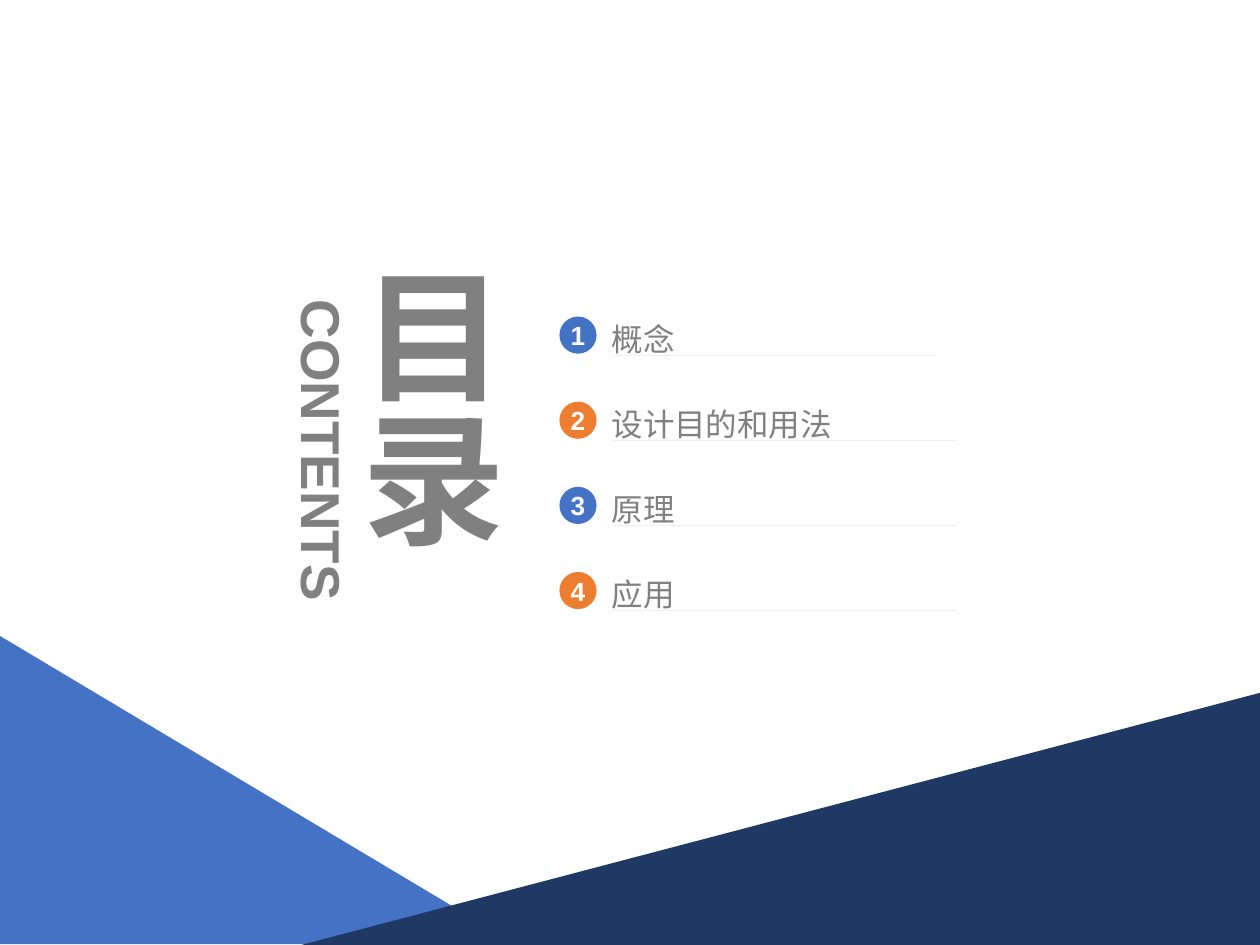
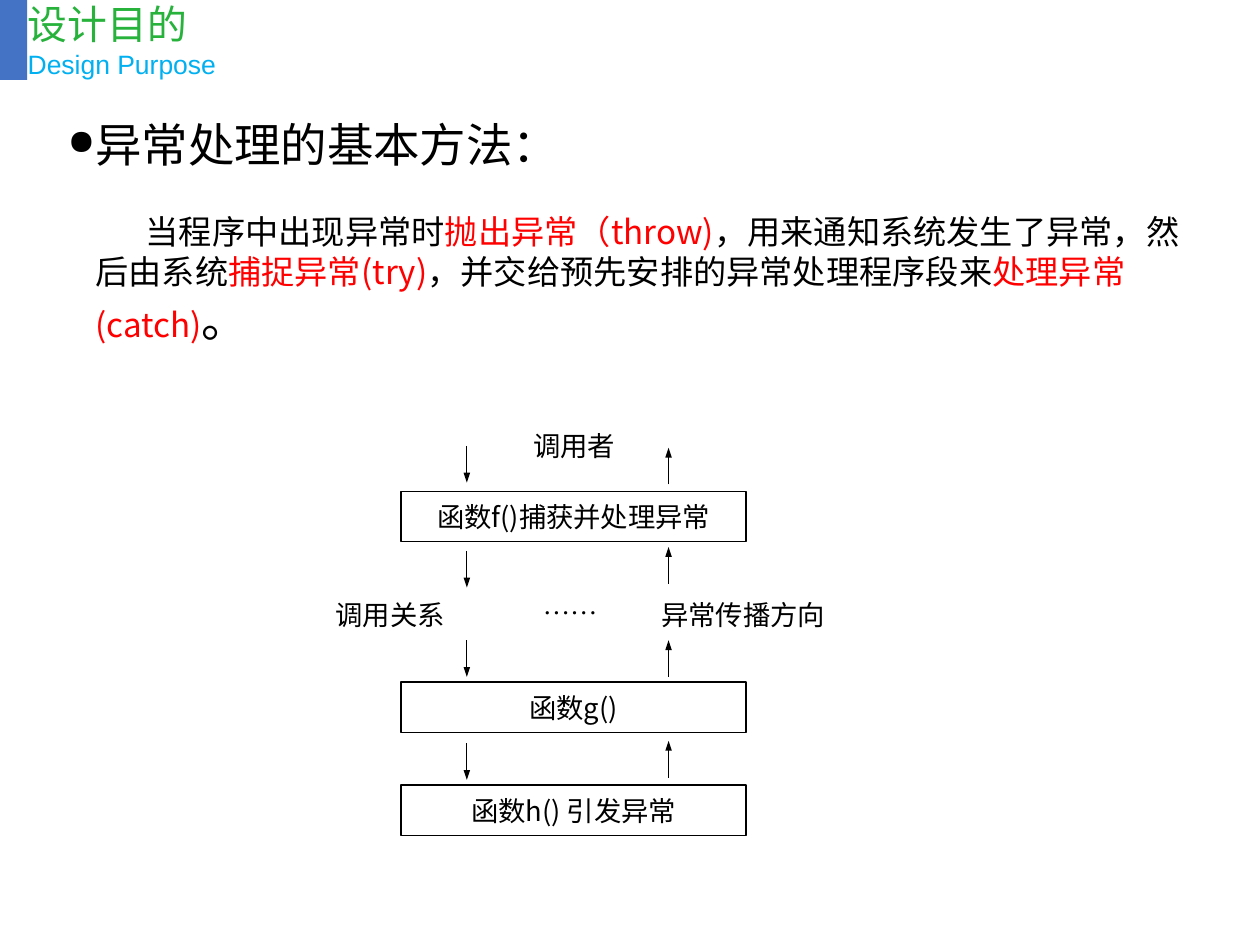
from dataclasses import dataclass

from lxml.etree import SubElement
from pptx import Presentation
from pptx.dml.color import RGBColor
from pptx.enum.shapes import MSO_CONNECTOR, MSO_SHAPE
from pptx.enum.text import MSO_ANCHOR, MSO_AUTO_SIZE, PP_ALIGN
from pptx.oxml.ns import qn
from pptx.shapes.connector import Connector
from pptx.util import Cm, Pt


@dataclass(frozen=True)
class Theme:
    blue: str = "4472C4"
    navy: str = "203864"
    orange: str = "ED7D31"
    grey: str = "808080"
    green: str = "27B23C"
    sky: str = "00B0F0"
    red: str = "FF0000"
    black: str = "000000"
    white: str = "FFFFFF"
    sans: str = "Arial"
    serif: str = "Times New Roman"
    han: str = "Noto Sans CJK SC"
    huge: float = 86.2
    side: float = 33
    head: float = 28
    title: float = 24
    body: float = 20
    item: float = 19
    label: float = 16.5
    sub: float = 16
    badge: float = 15.8


T = Theme()


def style(run, size, color, font=T.han, bold=False):
    """Set the type of a run, with one font for all Chinese text."""
    run.font.size = Pt(size)
    run.font.bold = bold
    run.font.name = font
    run.font.color.rgb = RGBColor.from_string(color)
    SubElement(run.font._element, qn("a:ea")).set("typeface", T.han)


def write(box, text, size, color, font=T.han, bold=False, align=PP_ALIGN.CENTER):
    """Fill a box with one middle-anchored paragraph without margins."""
    frame = box.text_frame
    frame.word_wrap = True
    frame.vertical_anchor = MSO_ANCHOR.MIDDLE
    frame.margin_left = frame.margin_right = 0
    frame.margin_top = frame.margin_bottom = 0
    frame.text = text
    para = frame.paragraphs[0]
    para.alignment = align
    style(para.runs[0], size, color, font, bold)
    return frame


deck = Presentation()
deck.slide_width, deck.slide_height = Cm(26.8), Cm(20.09)
blank = deck.slide_layouts[6]

# Contents
shapes = deck.slides.add_slide(blank).shapes

box = shapes.add_textbox(Cm(7.29), Cm(5.62), Cm(3.68), Cm(7.9))
frame = write(box, "目录", T.huge, T.grey, T.sans, True)
frame.auto_size = MSO_AUTO_SIZE.SHAPE_TO_FIT_TEXT
box.element.txBody.bodyPr.set("vert", "eaVert")

box = shapes.add_textbox(Cm(3.43), Cm(8.86), Cm(6.88), Cm(1.42))
write(box, "CONTENTS", T.side, T.grey, T.sans, True)
box.rotation = 90

items = ["概念", "设计目的和用法", "原理", "应用"]
for i, text in enumerate(items):
    top = 6.6 + 1.81 * i
    wide = 6.93 if i == 0 else 7.34
    dot = shapes.add_shape(MSO_SHAPE.OVAL, Cm(11.9), Cm(top + 0.13), Cm(0.79), Cm(0.79))
    dot.fill.solid()
    dot.fill.fore_color.rgb = RGBColor.from_string((T.blue, T.orange)[i % 2])
    dot.line.fill.background()
    write(dot, str(i + 1), T.badge, T.white, T.sans, True)

    # A hairline at the foot and a point at the head span the text area
    left, right, head, foot = Cm(13.01), Cm(13.01 + wide), Cm(top), Cm(top + 0.95)
    path = shapes.build_freeform(left, foot)
    path.add_line_segments([(right, foot), (left, foot)])
    path.move_to(left, head)
    path.add_line_segments([(left, head), (left, head)])
    rule = path.convert_to_shape()
    rule.fill.solid()
    rule.fill.fore_color.rgb = RGBColor.from_string(T.grey)
    rule.line.fill.background()
    frame = write(rule, text, T.item, T.grey, T.sans, align=PP_ALIGN.LEFT)
    frame.paragraphs[0].line_spacing = 1.3

wedges = [
    (T.blue, [(0, 13.52), (10.97, 20.07), (0, 20.07)]),
    (T.navy, [(26.8, 14.73), (26.8, 20.14), (6.22, 20.14)]),
]
for color, points in wedges:
    first, *rest = [(Cm(x), Cm(y)) for x, y in points]
    path = shapes.build_freeform(*first)
    path.add_line_segments(rest)
    wedge = path.convert_to_shape()
    wedge.fill.solid()
    wedge.fill.fore_color.rgb = RGBColor.from_string(color)
    wedge.line.fill.background()

# Design purpose
shapes = deck.slides.add_slide(blank).shapes

bar = shapes.add_shape(MSO_SHAPE.RECTANGLE, 0, 0, Cm(0.58), Cm(1.7))
bar.fill.solid()
bar.fill.fore_color.rgb = RGBColor.from_string(T.blue)
bar.line.fill.background()

box = shapes.add_textbox(Cm(0.59), 0, Cm(4.04), Cm(1.7))
frame = write(box, "设计目的", T.title, T.green, align=PP_ALIGN.LEFT)
frame.vertical_anchor = MSO_ANCHOR.TOP
frame.word_wrap = False
para = frame.add_paragraph()
para.text = "Design Purpose"
style(para.runs[0], T.sub, T.sky, T.sans)

frame = shapes.add_textbox(Cm(1.19), Cm(2.34), Cm(24.2), Cm(5.2)).text_frame
frame.word_wrap = True
lead = frame.paragraphs[0]
lead.text = "异常处理的基本方法："
style(lead.runs[0], T.head, T.black)
para = frame.add_paragraph()
para.space_before = Pt(24)
parts = [
    ("当程序中出现异常时", T.body, T.black),
    ("抛出异常（throw)", T.body, T.red),
    ("，用来通知系统发生了异常，然后由系统", T.body, T.black),
    ("捕捉异常(try)", T.body, T.red),
    ("，并交给预先安排的异常处理程序段来", T.body, T.black),
    ("处理异常(catch)", T.body, T.red),
    ("。", T.head, T.black),
]
for text, size, color in parts:
    run = para.add_run()
    run.text = text
    style(run, size, color)
for para, indent in zip(frame.paragraphs, (-0.59, 1.07)):
    props = para._p.get_or_add_pPr()
    props.set("marL", str(Cm(0.59)))
    props.set("indent", str(Cm(indent)))
SubElement(lead._p.pPr, qn("a:buSzPct")).set("val", "75000")
SubElement(lead._p.pPr, qn("a:buChar")).set("char", "●")

calls = [(10.45, "函数f()捕获并处理异常"), (14.5, "函数g()"), (16.69, "函数h() 引发异常")]
for top, text in calls:
    box = shapes.add_shape(MSO_SHAPE.RECTANGLE, Cm(8.53), Cm(top), Cm(7.34), Cm(1.07))
    box.fill.background()
    box.line.color.rgb = RGBColor.from_string(T.black)
    box.line.width = Pt(0.75)
    write(box, text, T.label, T.black)

labels = [
    (8.94, 12.42, 6.38, 0.81, "……", T.serif),
    (10.52, 9.12, 3.38, 0.71, "调用者", T.han),
    (13.98, 12.72, 3.66, 0.71, "异常传播方向", T.han),
    (6.61, 12.72, 3.38, 0.71, "调用关系", T.han),
]
for left, top, wide, high, text, font in labels:
    box = shapes.add_textbox(Cm(left), Cm(top), Cm(wide), Cm(high))
    write(box, text, T.label, T.black, font)

span = 0.78
downs = [(9.93, y, y + span) for y in (9.48, 11.71, 13.61, 15.8)]
ups = [(14.22, y + span, y) for y in (9.52, 11.63, 13.61, 15.75)]
for x, start, end in downs + ups:
    arrow = shapes.add_connector(MSO_CONNECTOR.STRAIGHT, Cm(x), Cm(start), Cm(x), Cm(end))
    arrow.line.color.rgb = RGBColor.from_string(T.black)
    arrow.line.width = Pt(0.75)
    tip = SubElement(arrow.element.spPr.find(qn("a:ln")), qn("a:tailEnd"))
    tip.set("type", "triangle")
    tip.set("w", "sm")
    tip.set("len", "med")

# No shadows anywhere
for slide in deck.slides:
    for shape in slide.shapes:
        if isinstance(shape, Connector):
            SubElement(shape.element.spPr, qn("a:effectLst"))
        else:
            shape.shadow.inherit = False

deck.save("out.pptx")
